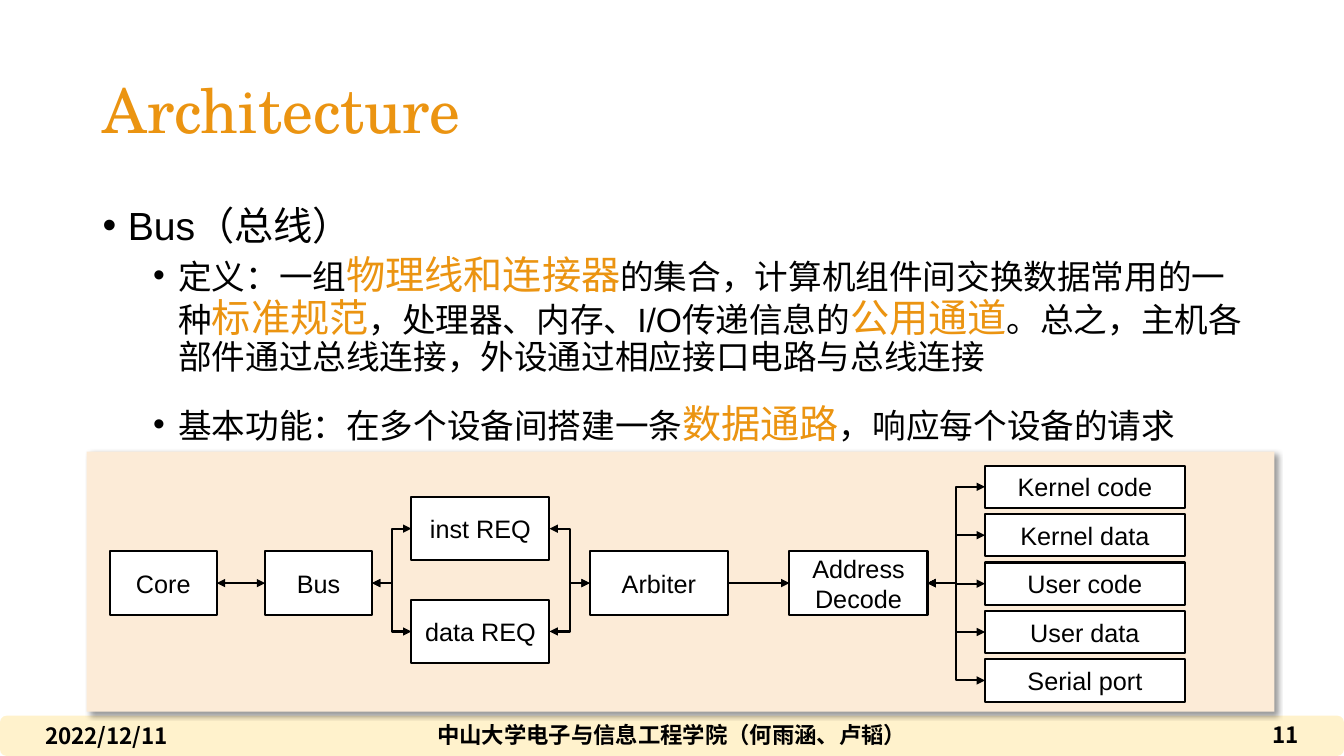
from lxml import etree
from pptx import Presentation
from pptx.dml.color import RGBColor
from pptx.enum import shapes, text
from pptx.oxml import ns
from pptx.util import Inches, Pt

BLACK, WHITE, ORANGE = "000000", "FFFFFF", "EB9411"
CREAM, PEACH = "FFF2CC", "FCEBD7"
LATIN, CHINESE, SERIF = "Arial", "Noto Sans CJK SC", "TeX Gyre Schola"

# text, left, top, width, alignment
FOOTER = [
    ("2022/12/11", 0.35, 7.1, 3, text.PP_ALIGN.LEFT),
    ("中山大学电子与信息工程学院（何雨涵、卢韬）", 3.35, 7.09, 6.63, text.PP_ALIGN.CENTER),
    ("11", 9.98, 7.09, 3, text.PP_ALIGN.RIGHT),
]

# left indent, space before, size, spans; spans between asterisks are key terms
BULLETS = [
    (0.25, 10, 28, "Bus（总线）"),
    (0.75, 5, 24, "定义：一组*物理线和连接器*的集合，计算机组件间交换数据常用的一种*标准规范*，"
                  "处理器、内存、I/O传递信息的*公用通道*。总之，主机各部件通过总线连接，"
                  "外设通过相应接口电路与总线连接"),
    (0.75, 20, 24, "基本功能：在多个设备间搭建一条*数据通路*，响应每个设备的请求"),
]
KEY_SIZE = 28

# name: left, top, width
STAGES = {
    "Core": (1.09, 5.47, 1.06),
    "Bus": (2.63, 5.47, 1.06),
    "inst REQ": (4.08, 4.93, 1.37),
    "data REQ": (4.08, 5.95, 1.37),
    "Arbiter": (5.85, 5.47, 1.37),
    "Address Decode": (7.83, 5.47, 1.37),
}
STAGE_HEIGHT = 0.63
DEVICES = ["Kernel code", "Kernel data", "User code", "User data", "Serial port"]
DEVICE_LEFT, DEVICE_TOP, DEVICE_WIDTH, DEVICE_HEIGHT = 9.77, 4.62, 1.98, 0.42
DEVICE_PITCH = 0.48

STRAIGHT, ELBOW = shapes.MSO_CONNECTOR.STRAIGHT, shapes.MSO_CONNECTOR.ELBOW
# from, to, route, arrow at both ends
LINKS = [
    ("Core", "Bus", STRAIGHT, True),
    ("Bus", "inst REQ", ELBOW, True),
    ("Bus", "data REQ", ELBOW, True),
    ("inst REQ", "Arbiter", ELBOW, True),
    ("data REQ", "Arbiter", ELBOW, True),
    ("Arbiter", "Address Decode", STRAIGHT, False),
] + [("Address Decode", device, ELBOW, True) for device in DEVICES]
LEFT_SITE, RIGHT_SITE = 1, 3


def color(hex_code):
    return RGBColor.from_string(hex_code)


def add_element(parent, tag, **attributes):
    return etree.SubElement(parent, ns.qn(tag), attributes)


def add_span(para, words, size, font=LATIN, fill=BLACK, bold=False):
    span = para.add_run()
    span.text = words
    span.font.size = Pt(size)
    span.font.name = font
    span.font.bold = bold
    span.font.color.rgb = color(fill)
    add_element(span.font._element, "a:ea", typeface=CHINESE)


def add_text(page, place, words, align=text.PP_ALIGN.LEFT, **style):
    box = page.shapes.add_textbox(*map(Inches, place))
    frame = box.text_frame
    frame.word_wrap = True
    frame.vertical_anchor = text.MSO_ANCHOR.MIDDLE
    para = frame.paragraphs[0]
    para.alignment = align
    add_span(para, words, **style)
    return para


def add_block(page, place, fill, kind=shapes.MSO_SHAPE.RECTANGLE, label=None):
    """Filled shape; a labelled one also gets a black outline."""
    block = page.shapes.add_shape(kind, *map(Inches, place))
    block.shadow.inherit = False
    block.fill.solid()
    block.fill.fore_color.rgb = color(fill)
    if label is None:
        block.line.fill.background()
        return block
    block.line.color.rgb = color(BLACK)
    block.line.width = Pt(1.5)
    frame = block.text_frame
    frame.word_wrap = True
    frame.vertical_anchor = text.MSO_ANCHOR.MIDDLE
    frame.paragraphs[0].alignment = text.PP_ALIGN.CENTER
    add_span(frame.paragraphs[0], label, 18)
    return block


def add_shadow(block):
    effects = block._element.spPr.find(ns.qn("a:effectLst"))
    shadow = add_element(effects, "a:outerShdw", blurRad=str(Pt(4)), dist=str(Pt(3)),
                         dir=str(45 * 60000), algn="tl", rotWithShape="0")
    add_element(add_element(shadow, "a:srgbClr", val=BLACK), "a:alpha", val="40000")


def add_link(page, source, target, route, both_ends):
    link = page.shapes.add_connector(route, 0, 0, 0, 0)
    link.begin_connect(source, RIGHT_SITE)
    link.end_connect(target, LEFT_SITE)
    link.line.color.rgb = color(BLACK)
    link.line.width = Pt(1.5)
    line = link.line._get_or_add_ln()
    if both_ends:
        add_element(line, "a:headEnd", type="triangle")
    add_element(line, "a:tailEnd", type="triangle")
    add_element(link._element.spPr, "a:effectLst")


def add_bullets(page, place):
    frame = page.shapes.add_textbox(*map(Inches, place)).text_frame
    frame.word_wrap = True
    for index, (indent, before, size, words) in enumerate(BULLETS):
        para = frame.add_paragraph() if index else frame.paragraphs[0]
        para.line_spacing = 0.9
        para.space_before = Pt(before)
        props = para._p.get_or_add_pPr()
        props.set("marL", str(Inches(indent)))
        props.set("indent", str(Inches(-0.25)))
        add_element(props, "a:buFont", typeface=LATIN)
        add_element(props, "a:buChar", char="•")
        for position, part in enumerate(words.split("*")):
            if position % 2:
                add_span(para, part, KEY_SIZE, fill=ORANGE)
            else:
                add_span(para, part, size)


def main():
    deck = Presentation()
    deck.slide_width, deck.slide_height = Inches(13.33), Inches(7.5)
    page = deck.slides.add_slide(deck.slide_layouts[6])

    add_block(page, (0, 7.1, 13.33, 0.4), CREAM, shapes.MSO_SHAPE.ROUNDED_RECTANGLE)
    add_shadow(add_block(page, (0.86, 4.48, 11.78, 2.58), PEACH))
    title = add_text(page, (0.92, 0.4, 11.5, 1.45), "Architecture",
                     size=44, font=SERIF, fill=ORANGE)
    title.line_spacing = 0.9
    add_bullets(page, (0.92, 2, 11.5, 4.76))
    for words, left, top, width, align in FOOTER:
        add_text(page, (left, top, width, 0.4), words, align,
                 size=16, font=CHINESE, bold=True)

    blocks = {}
    for name, (left, top, width) in STAGES.items():
        place = (left, top, width, STAGE_HEIGHT)
        blocks[name] = add_block(page, place, WHITE, label=name)
    for row, name in enumerate(DEVICES):
        place = (DEVICE_LEFT, DEVICE_TOP + row * DEVICE_PITCH, DEVICE_WIDTH, DEVICE_HEIGHT)
        blocks[name] = add_block(page, place, WHITE, label=name)
    for source, target, route, both_ends in LINKS:
        add_link(page, blocks[source], blocks[target], route, both_ends)

    deck.save("out.pptx")


if __name__ == "__main__":
    main()
